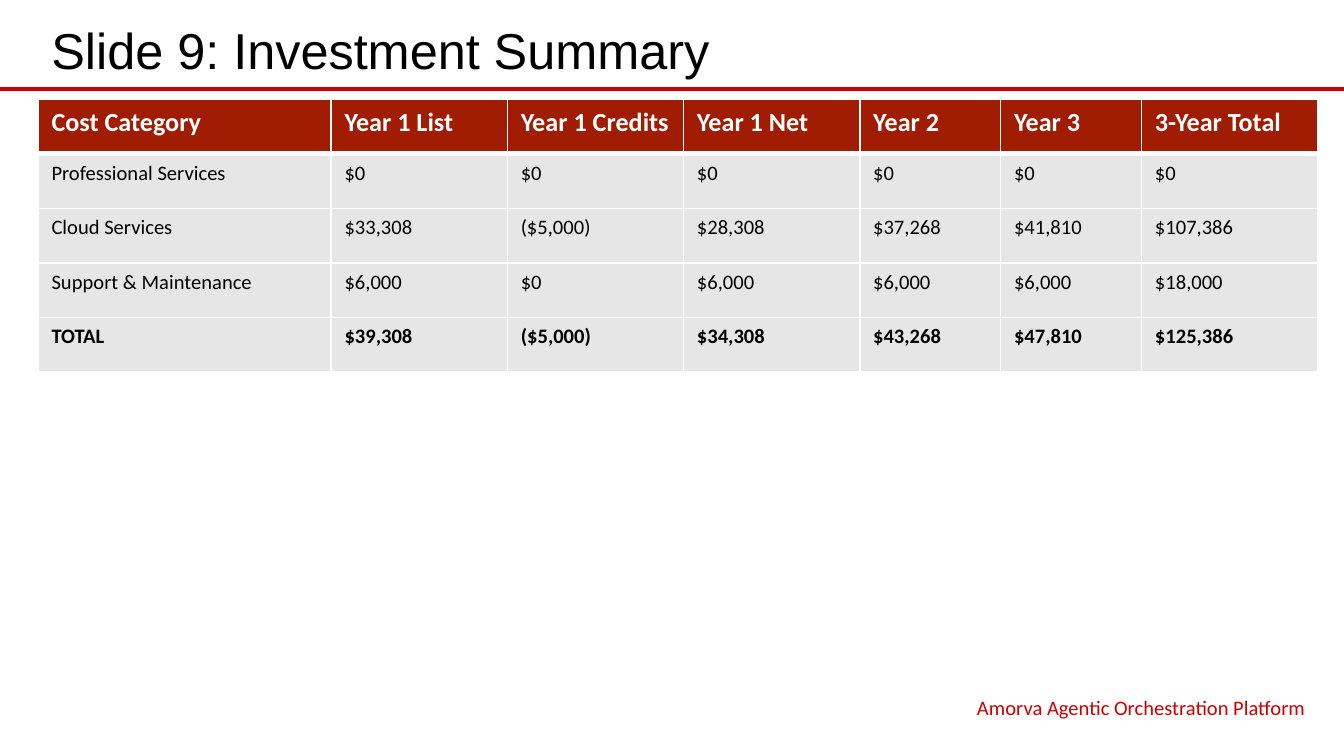
from lxml import etree
from pptx import Presentation
from pptx.dml import color
from pptx.enum import shapes, text
from pptx.oxml import ns
from pptx.util import Pt

WHITE, BLACK, RED, DARK_RED, GREY = "FFFFFF", "000000", "CC0000", "A01C02", "E7E6E6"
COLUMN_WIDTHS = [157, 94.4, 94.4, 94.4, 75.5, 75.5, 94.4]
ROW_HEIGHT = 29.2
COSTS = [
    ["Cost Category", "Year 1 List", "Year 1 Credits", "Year 1 Net", "Year 2", "Year 3", "3-Year Total"],
    ["Professional Services", "$0", "$0", "$0", "$0", "$0", "$0"],
    ["Cloud Services", "$33,308", "($5,000)", "$28,308", "$37,268", "$41,810", "$107,386"],
    ["Support & Maintenance", "$6,000", "$0", "$6,000", "$6,000", "$6,000", "$18,000"],
    ["TOTAL", "$39,308", "($5,000)", "$34,308", "$43,268", "$47,810", "$125,386"],
]
HEADER_FORMAT = {"name": "Calibri", "size": Pt(14), "bold": True, "color": WHITE}
BODY_FORMAT = {"name": "Calibri", "size": Pt(11), "bold": False, "color": BLACK}
TOTAL_FORMAT = {**BODY_FORMAT, "bold": True}


def paint(color_format, hex_value):
    color_format.rgb = color.RGBColor.from_string(hex_value)


def write(frame, words, formats):
    """Put one formatted run into the first paragraph of a text frame."""
    run = frame.paragraphs[0].add_run()
    run.text = words
    for name, value in formats.items():
        if name == "color":
            paint(run.font.color, value)
        else:
            setattr(run.font, name, value)


def add_label(slide, box, words, formats, frame_formats, alignment):
    frame = slide.shapes.add_textbox(*map(Pt, box)).text_frame
    frame.word_wrap = True
    for name, value in frame_formats.items():
        setattr(frame, name, value)
    frame.paragraphs[0].alignment = alignment
    write(frame, words, formats)


def add_header(slide, left, top, width, height):
    add_label(slide, (left, top, width, height), "Slide 9: Investment Summary",
              {"name": "Arial", "size": Pt(27), "color": BLACK},
              {"margin_top": Pt(7), "vertical_anchor": text.MSO_ANCHOR.TOP},
              text.PP_ALIGN.LEFT)


def add_rule(slide, left, top, width):
    rule = slide.shapes.add_connector(
        shapes.MSO_CONNECTOR.STRAIGHT, Pt(left), Pt(top), Pt(left + width), Pt(top))
    paint(rule.line.color, RED)
    rule.line.width = Pt(2.25)
    etree.SubElement(rule.element.spPr, ns.qn("a:effectLst"))


def set_borders(cell, widths):
    """Draw white borders; widths maps the sides L, R, T, B to points, in that order."""
    properties = cell._tc.get_or_add_tcPr()
    for position, (side, width) in enumerate(widths.items()):
        border = etree.Element(ns.qn(f"a:ln{side}"), w=str(Pt(width)))
        fill = etree.SubElement(border, ns.qn("a:solidFill"))
        etree.SubElement(fill, ns.qn("a:srgbClr"), val=WHITE)
        properties.insert(position, border)


def add_cost_table(slide, left, top):
    size = sum(COLUMN_WIDTHS), ROW_HEIGHT * len(COSTS)
    table = slide.shapes.add_table(
        len(COSTS), len(COLUMN_WIDTHS), *map(Pt, (left, top, *size))).table
    for column, width in zip(table.columns, COLUMN_WIDTHS):
        column.width = Pt(width)
    row_formats = [HEADER_FORMAT] + [BODY_FORMAT] * (len(COSTS) - 2) + [TOTAL_FORMAT]
    for index, (row, values, formats) in enumerate(zip(table.rows, COSTS, row_formats)):
        row.height = Pt(ROW_HEIGHT)
        borders = {"L": 1, "R": 1, "T": 3 if index == 1 else 1, "B": 3 if index == 0 else 1}
        for cell, value in zip(row.cells, values):
            cell.fill.solid()
            paint(cell.fill.fore_color, DARK_RED if index == 0 else GREY)
            set_borders(cell, borders)
            write(cell.text_frame, value, formats)


def add_footer(slide, left, top, width, height):
    add_label(slide, (left, top, width, height), "Amorva Agentic Orchestration Platform",
              {"name": "Calibri", "size": Pt(11), "color": RED},
              {"vertical_anchor": text.MSO_ANCHOR.TOP}, text.PP_ALIGN.RIGHT)


def main():
    presentation = Presentation()
    presentation.slide_width, presentation.slide_height = Pt(720), Pt(405)
    slide = presentation.slides.add_slide(presentation.slide_layouts[6])
    add_rule(slide, 0, 47.5, 720)
    add_header(slide, 20.4, 3, 686, 42)
    add_cost_table(slide, 20.4, 53.3)
    add_footer(slide, 453, 368.6, 253.4, 18.7)
    presentation.save("out.pptx")


if __name__ == "__main__":
    main()
